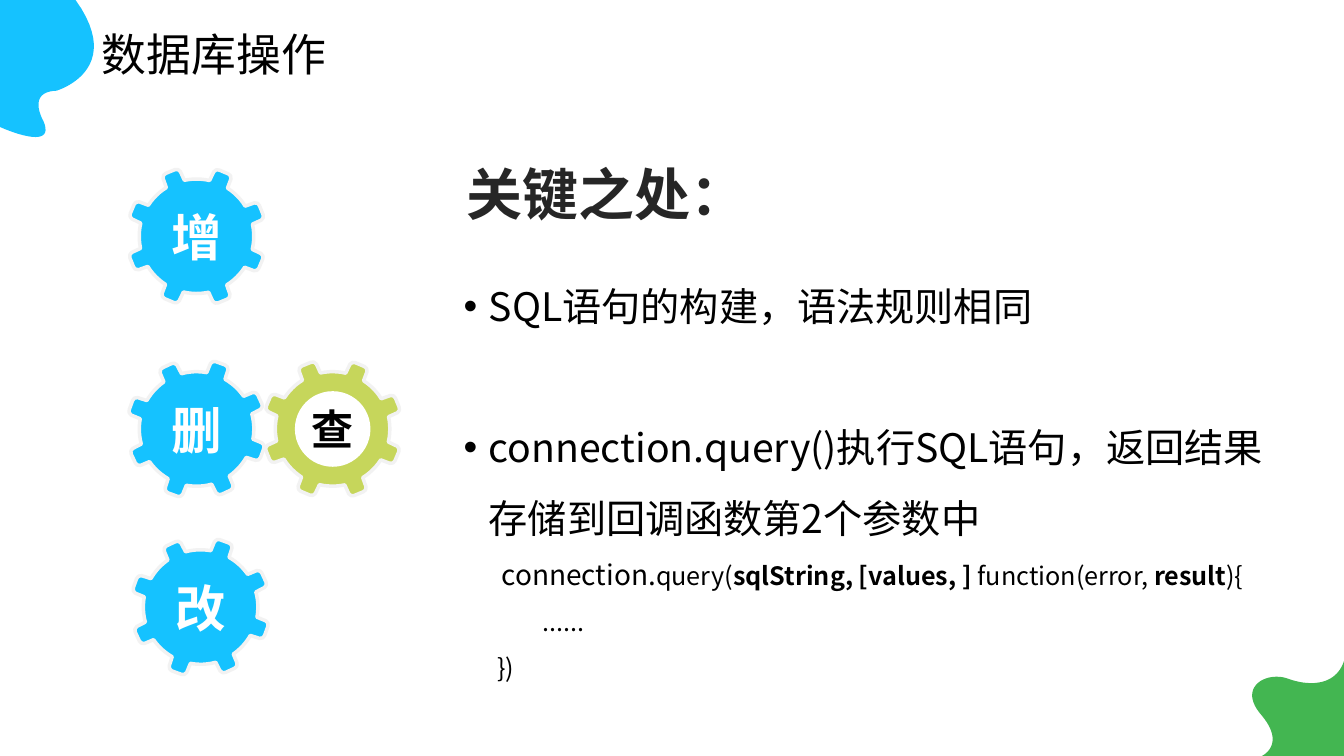
from math import cos, radians, sin

from lxml import etree
from pptx import Presentation
from pptx.dml.color import RGBColor
from pptx.enum.shapes import MSO_SHAPE
from pptx.enum.text import MSO_ANCHOR, PP_ALIGN
from pptx.oxml.ns import qn
from pptx.util import Pt

TOP, MIDDLE = MSO_ANCHOR.TOP, MSO_ANCHOR.MIDDLE
LEFT, CENTER = PP_ALIGN.LEFT, PP_ALIGN.CENTER
OVAL = MSO_SHAPE.OVAL
FONT = "Noto Sans CJK SC"
BLUE, GREEN, LIME = "15C2FF", "43B651", "C6D65B"
WHITE, BLACK, DARK, PALE = "FFFFFF", "000000", "262626", "F2F2F2"
color = RGBColor.from_string


def style(span, size, fill, bold=False):
    span.font.size = Pt(size)
    span.font.bold = bold
    span.font.color.rgb = color(fill)
    span.font.name = FONT
    etree.SubElement(span.font._element, qn("a:ea"), typeface=FONT)


def draw_outline(points, fill):
    corners = [(Pt(x), Pt(y)) for x, y in points]
    builder = page.shapes.build_freeform(*corners[0])
    builder.add_line_segments(corners[1:], close=True)
    shape = builder.convert_to_shape()
    shape.shadow.inherit = False
    shape.fill.solid()
    shape.fill.fore_color.rgb = color(fill)
    shape.line.fill.background()
    return shape


deck = Presentation()
deck.slide_width, deck.slide_height = Pt(960), Pt(540)
page = deck.slides.add_slide(deck.slide_layouts[5])

# Title
title = page.shapes.title
title.left, title.top, title.width, title.height = Pt(65.5), Pt(15.8), Pt(190), Pt(46)
title.text_frame.text = "数据库操作"
title.text_frame.word_wrap = True
title.text_frame.vertical_anchor = TOP
title.text_frame.paragraphs[0].alignment = LEFT
style(title.text_frame.paragraphs[0].runs[0], 32, BLACK)

# Corner blobs: fill, start, cubic curves, closing corner
blobs = [
    (BLUE, (0, 90.7), [
        ((0, 90.7), (41, 109.4), (31, 86.4)),
        ((31, 86.4), (18.7, 65.5), (40.3, 64.8)),
        ((40.3, 64.8), (90, 50.4), (54, 0))], (0, 0)),
    (GREEN, (901.4, 540), [
        ((901.4, 540), (918.7, 532.1), (901.4, 511.2)),
        ((883.4, 491), (904.3, 479.5), (919.4, 484.6)),
        ((934.6, 490.3), (954, 490.3), (960, 472.3))], (960, 540)),
]
STEPS = 24
for fill, start, curves, corner in blobs:
    points = [start]
    for first, second, end in curves:
        origin = points[-1]
        for step in range(1, STEPS + 1):
            t = step / STEPS
            points.append(tuple(
                a * (1 - t) ** 3 + 3 * b * t * (1 - t) ** 2 + 3 * c * t ** 2 * (1 - t) + d * t ** 3
                for a, b, c, d in zip(origin, first, second, end)))
    draw_outline(points + [corner], fill)

# Gears: label, centre, turn in degrees, fill, label size, label colour
gears = [
    ("增", 140.4, 168.8, 23, BLUE, 36, WHITE),
    ("查", 237.6, 306.4, 23, LIME, 30, BLACK),
    ("删", 140.4, 306.4, 20, BLUE, 36, WHITE),
    ("改", 143.3, 433.6, 20, BLUE, 36, WHITE),
]
TEETH = 8
# One tooth and the rim after it: angle from the tooth axis, radius
tooth = [(-9.75, 40.9), (-8, 47.7), (-6.4, 49.5), (-4.05, 50),
         (4.05, 50), (6.4, 49.5), (8, 47.7), (9.75, 40.9)]
tooth += [(9.75 + 4.25 * step, 40.9) for step in range(1, 6)]
for label, x, y, turn, fill, size, ink in gears:
    points = []
    for index in range(TEETH):
        for offset, radius in tooth:
            angle = radians(turn + index * 360 / TEETH + offset)
            points.append((x + radius * sin(angle), y - radius * cos(angle)))
    gear = draw_outline(points, fill)
    gear.line.color.rgb = color(PALE)
    gear.line.width = Pt(2.5)
    if fill == LIME:
        hub = page.shapes.add_shape(OVAL, Pt(x - 27), Pt(y - 27), Pt(54), Pt(54))
        hub.shadow.inherit = False
        hub.fill.solid()
        hub.fill.fore_color.rgb = color(WHITE)
        hub.line.fill.background()
    box = page.shapes.add_textbox(Pt(x - 25), Pt(y - 25), Pt(50), Pt(50))
    box.text_frame.text = label
    box.text_frame.word_wrap = False
    box.text_frame.vertical_anchor = MIDDLE
    box.text_frame.paragraphs[0].alignment = CENTER
    style(box.text_frame.paragraphs[0].runs[0], size, ink, True)

# Heading
heading = page.shapes.add_textbox(Pt(326.2), Pt(110.2), Pt(352.8), Pt(55.4))
heading.text_frame.text = "关键之处："
heading.text_frame.word_wrap = True
style(heading.text_frame.paragraphs[0].runs[0], 40, DARK, True)

# Key points and call signature: bulleted, indent, space before, runs (text, size, bold)
lines = [
    (True, 18, 0, [("SQL语句的构建，语法规则相同", 28, False)]),
    (True, 18, 50, [("connection.query()执行SQL语句，返回结果存储到回调函数第2个参数中", 28, False)]),
    (False, 27, 0, [("connection.", 20, False), ("query(", 18, False),
                    ("sqlString, [values, ] ", 18, True), ("function(error, ", 18, False),
                    ("result", 18, True), ("){", 18, False)]),
    (False, 56, 0, [("......", 18, False)]),
    (False, 24, 0, [("})", 18, False)]),
]
body = page.shapes.add_textbox(Pt(326.2), Pt(182.2), Pt(595.4), Pt(310.3))
frame = body.text_frame
frame.word_wrap = True
frame.margin_left = frame.margin_right = Pt(5)
frame.margin_top = frame.margin_bottom = Pt(2.9)
for index, (bulleted, indent, before, spans) in enumerate(lines):
    para = frame.add_paragraph() if index else frame.paragraphs[0]
    para.line_spacing = 1.5
    para.space_before = Pt(before)
    properties = para._p.get_or_add_pPr()
    properties.set("marL", str(Pt(indent)))
    if bulleted:
        properties.set("indent", str(Pt(-indent)))
        etree.SubElement(properties, qn("a:buFont"), typeface="Arial")
        etree.SubElement(properties, qn("a:buChar"), char="•")
    for text, size, bold in spans:
        span = para.add_run()
        span.text = text
        style(span, size, BLACK, bold)

deck.save("out.pptx")
